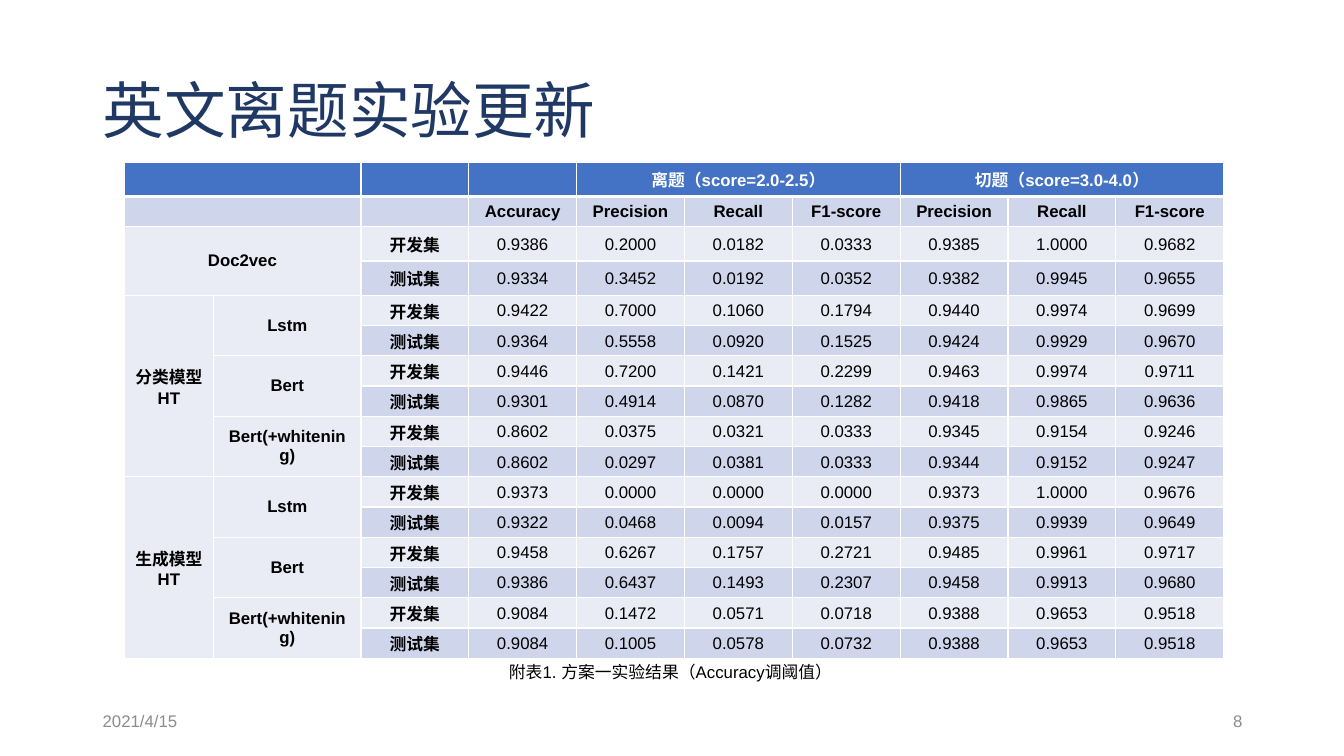
from dataclasses import dataclass

from lxml import etree
from pptx import Presentation
from pptx.dml.color import RGBColor
from pptx.enum.text import MSO_ANCHOR, PP_ALIGN
from pptx.oxml.ns import qn
from pptx.util import Inches, Pt

LEFT, CENTER, RIGHT = PP_ALIGN.LEFT, PP_ALIGN.CENTER, PP_ALIGN.RIGHT
TOP, MIDDLE = MSO_ANCHOR.TOP, MSO_ANCHOR.MIDDLE


@dataclass(frozen=True)
class Theme:
    title_color: str = "203864"
    footer_color: str = "8C8C8C"
    header_fill: str = "4472C4"
    dark_band: str = "CFD5EA"
    light_band: str = "E9EBF5"
    white: str = "FFFFFF"
    black: str = "000000"
    title_font: str = "Times New Roman"
    body_font: str = "Arial"
    title_size: int = 44
    body_size: int = 12


THEME = Theme()

# Table content
SCORE_GROUPS = ["离题（score=2.0-2.5）", "切题（score=3.0-4.0）"]
GROUP_METRICS = ["Precision", "Recall", "F1-score"]
DATA_SETS = ["开发集", "测试集"]
FAMILIES = ["分类模型HT", "生成模型HT"]
MODELS = ["Lstm", "Bert", "Bert(+whitening)"]
SCORES = """
0.9386 0.2000 0.0182 0.0333 0.9385 1.0000 0.9682
0.9334 0.3452 0.0192 0.0352 0.9382 0.9945 0.9655
0.9422 0.7000 0.1060 0.1794 0.9440 0.9974 0.9699
0.9364 0.5558 0.0920 0.1525 0.9424 0.9929 0.9670
0.9446 0.7200 0.1421 0.2299 0.9463 0.9974 0.9711
0.9301 0.4914 0.0870 0.1282 0.9418 0.9865 0.9636
0.8602 0.0375 0.0321 0.0333 0.9345 0.9154 0.9246
0.8602 0.0297 0.0381 0.0333 0.9344 0.9152 0.9247
0.9373 0.0000 0.0000 0.0000 0.9373 1.0000 0.9676
0.9322 0.0468 0.0094 0.0157 0.9375 0.9939 0.9649
0.9458 0.6267 0.1757 0.2721 0.9485 0.9961 0.9717
0.9386 0.6437 0.1493 0.2307 0.9458 0.9913 0.9680
0.9084 0.1472 0.0571 0.0718 0.9388 0.9653 0.9518
0.9084 0.1005 0.0578 0.0732 0.9388 0.9653 0.9518
"""
COLUMN_WIDTHS = [0.89, 1.46] + [1.07] * 8
ROW_HEIGHTS = [0.34, 0.29, 0.34, 0.34] + [0.3] * 12
HEADER_ROWS, LABEL_COLUMNS = 2, 3
FIRST_FAMILY_ROW = 4


def write_run(paragraph, text, **font_format):
    run = paragraph.add_run()
    run.text = text
    color = font_format.pop("color")
    run.font.color.rgb = RGBColor.from_string(color)
    for attribute, value in font_format.items():
        setattr(run.font, attribute, value)


def add_text(slide, text, box, anchor=MIDDLE, align=LEFT, spacing=None,
             size=THEME.body_size, name=THEME.body_font, color=THEME.black):
    frame = slide.shapes.add_textbox(*map(Inches, box)).text_frame
    frame.word_wrap = True
    frame.vertical_anchor = anchor
    paragraph = frame.paragraphs[0]
    paragraph.alignment = align
    paragraph.line_spacing = spacing
    write_run(paragraph, text, size=Pt(size), name=name, color=color)


def set_borders(cell, row):
    """White rules, with a thicker one under the header row."""
    widths = {"lnL": 1, "lnR": 1, "lnT": 3 if row == 1 else 1,
              "lnB": 3 if row == 0 else 1}
    properties = cell._tc.get_or_add_tcPr()
    for side, width in widths.items():
        line = etree.SubElement(properties, qn(f"a:{side}"), w=str(Pt(width)))
        fill = etree.SubElement(line, qn("a:solidFill"))
        etree.SubElement(fill, qn("a:srgbClr"), val=THEME.white)


def band_color(row, column):
    if row == 0:
        return THEME.header_fill
    if row >= HEADER_ROWS and column < LABEL_COLUMNS - 1:
        return THEME.light_band
    return THEME.dark_band if row % 2 else THEME.light_band


def format_cell(cell, row, column, text):
    set_borders(cell, row)
    cell.fill.solid()
    cell.fill.fore_color.rgb = RGBColor.from_string(band_color(row, column))
    cell.vertical_anchor = MIDDLE
    is_score = row >= HEADER_ROWS and column >= LABEL_COLUMNS
    is_tight_label = row >= FIRST_FAMILY_ROW and column == LABEL_COLUMNS - 1
    if is_score or is_tight_label:
        margins = {"margin_left": 0.01, "margin_right": 0.01,
                   "margin_top": 0.01, "margin_bottom": 0}
        for attribute, value in margins.items():
            setattr(cell, attribute, Inches(value))
    paragraph = cell.text_frame.paragraphs[0]
    paragraph.alignment = CENTER
    if text:
        write_run(paragraph, text, size=Pt(THEME.body_size),
                  name=THEME.body_font, bold=not is_score,
                  color=THEME.white if row == 0 else THEME.black)
    else:
        # Keeps empty cells from stretching their row
        etree.SubElement(paragraph._p, qn("a:endParaRPr"),
                         sz=str(THEME.body_size * 100))


def table_layout():
    """Return texts by (row, column) and merges as (row, column, rows, columns)."""
    texts, merges = {}, [(0, 0, 1, 2), (1, 0, 1, 2), (2, 0, 2, 2)]
    texts[1, 3] = "Accuracy"
    texts[2, 0] = "Doc2vec"
    for group, title in enumerate(SCORE_GROUPS):
        first = LABEL_COLUMNS + 1 + group * len(GROUP_METRICS)
        texts[0, first] = title
        merges.append((0, first, 1, len(GROUP_METRICS)))
        for offset, metric in enumerate(GROUP_METRICS):
            texts[1, first + offset] = metric
    rows_per_model = len(DATA_SETS)
    rows_per_family = len(MODELS) * rows_per_model
    for index, family in enumerate(FAMILIES):
        family_row = FIRST_FAMILY_ROW + index * rows_per_family
        texts[family_row, 0] = family
        merges.append((family_row, 0, rows_per_family, 1))
        for position, model in enumerate(MODELS):
            model_row = family_row + position * rows_per_model
            texts[model_row, 1] = model
            merges.append((model_row, 1, rows_per_model, 1))
    for row, line in enumerate(SCORES.strip().splitlines(), HEADER_ROWS):
        texts[row, 2] = DATA_SETS[row % 2]
        for column, score in enumerate(line.split(), LABEL_COLUMNS):
            texts[row, column] = score
    return texts, merges


def add_results_table(slide):
    results = slide.shapes.add_table(
        len(ROW_HEIGHTS), len(COLUMN_WIDTHS), Inches(1.23), Inches(1.61),
        Inches(sum(COLUMN_WIDTHS)), Inches(sum(ROW_HEIGHTS))).table
    for column, width in zip(results.columns, COLUMN_WIDTHS):
        column.width = Inches(width)
    for row, height in zip(results.rows, ROW_HEIGHTS):
        row.height = Inches(height)
    texts, merges = table_layout()
    for row in range(len(ROW_HEIGHTS)):
        for column in range(len(COLUMN_WIDTHS)):
            format_cell(results.cell(row, column), row, column,
                        texts.get((row, column)))
    for row, column, height, width in merges:
        last = results.cell(row + height - 1, column + width - 1)
        results.cell(row, column).merge(last)


def main():
    deck = Presentation()
    deck.slide_width, deck.slide_height = Inches(13.33), Inches(7.5)
    slide = deck.slides.add_slide(deck.slide_layouts[6])

    # Footer
    add_text(slide, "2021/4/15", (0.92, 6.95, 3, 0.4), color=THEME.footer_color)
    add_text(slide, "8", (9.42, 6.95, 3, 0.4), align=RIGHT,
             color=THEME.footer_color)

    # Results
    add_results_table(slide)

    # Title and caption
    add_text(slide, "英文离题实验更新", (0.92, 0.4, 11.5, 1.45), spacing=0.9,
             size=THEME.title_size, name=THEME.title_font,
             color=THEME.title_color)
    add_text(slide, "附表1. 方案一实验结果（Accuracy调阈值）",
             (4.95, 6.52, 3.44, 0.3), anchor=TOP)

    deck.save("out.pptx")


if __name__ == "__main__":
    main()
